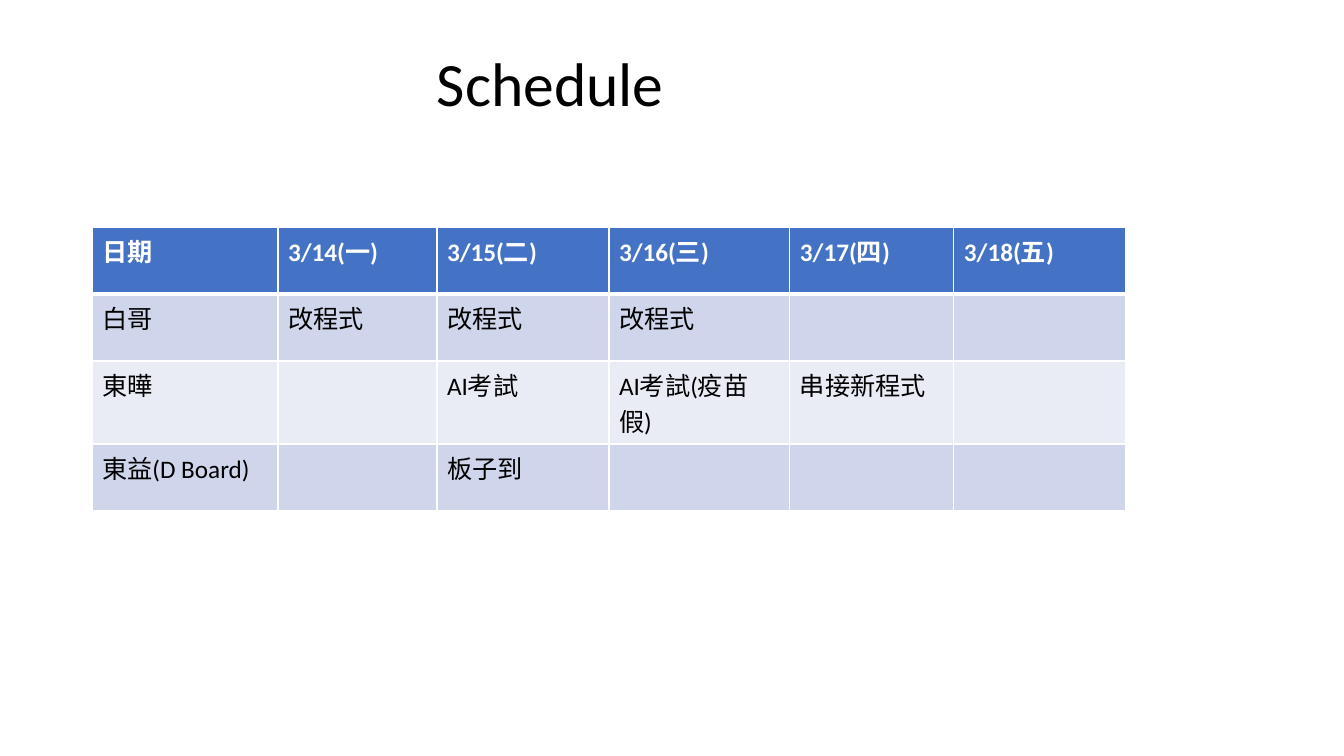
from dataclasses import dataclass

import pptx
import pptx.dml.color
import pptx.enum.text
import pptx.oxml
import pptx.oxml.ns
import pptx.table
import pptx.text.text
import pptx.util

RGBColor = pptx.dml.color.RGBColor
WHITE = RGBColor(0xFF, 0xFF, 0xFF)
BLACK = RGBColor(0x00, 0x00, 0x00)
HEADER_BLUE = RGBColor(0x44, 0x72, 0xC4)
DARK_BAND = RGBColor(0xCF, 0xD5, 0xEA)
LIGHT_BAND = RGBColor(0xE9, 0xEB, 0xF5)

FONT = "Calibri"
EMU_PER_PIXEL = 914400 / 100.8
COLUMN_WIDTHS = (186, 159, 172, 181, 164, 172)
ONE_LINE, TWO_LINES = 67, 83
THIN, THICK = 1, 3


@dataclass(frozen=True)
class ScheduleRow:
    entries: tuple[str, ...]
    fill: RGBColor
    height: int = ONE_LINE
    color: RGBColor = BLACK
    bold: bool = False
    top: int = THIN
    bottom: int = THIN


SCHEDULE = (
    ScheduleRow(
        ("日期", "3/14(一)", "3/15(二)", "3/16(三)", "3/17(四)", "3/18(五)"),
        HEADER_BLUE, color=WHITE, bold=True, bottom=THICK,
    ),
    ScheduleRow(("白哥", "改程式", "改程式", "改程式", "", ""), DARK_BAND, top=THICK),
    ScheduleRow(
        ("東曄", "", "AI考試", "AI考試(疫苗假)", "串接新程式", ""),
        LIGHT_BAND, height=TWO_LINES,
    ),
    ScheduleRow(("東益(D Board)", "", "板子到", "", "", ""), DARK_BAND),
)


def px(pixels: int) -> pptx.util.Emu:
    return pptx.util.Emu(round(pixels * EMU_PER_PIXEL))


def write_text(
    frame: pptx.text.text.TextFrame,
    text: str,
    *,
    size: int,
    color: RGBColor = BLACK,
    bold: bool = False,
    line_spacing: float | None = None,
) -> None:
    paragraph = frame.paragraphs[0]
    paragraph.line_spacing = line_spacing
    paragraph.font.size = pptx.util.Pt(size)
    if not text:
        return
    run = paragraph.add_run()
    run.text = text
    run.font.name = FONT
    run.font.size = pptx.util.Pt(size)
    run.font.bold = bold
    run.font.color.rgb = color


def add_border(cell: pptx.table._Cell, side: str, points: int) -> None:
    namespace = pptx.oxml.ns.nsdecls("a")
    border = pptx.oxml.parse_xml(
        f'<a:{side} {namespace} w="{pptx.util.Pt(points)}"><a:solidFill>'
        f'<a:srgbClr val="{WHITE}"/></a:solidFill></a:{side}>'
    )
    cell._tc.get_or_add_tcPr().append(border)


def draw_cell(cell: pptx.table._Cell, text: str, style: ScheduleRow) -> None:
    write_text(cell.text_frame, text, size=18, color=style.color, bold=style.bold)
    borders = {"lnL": THIN, "lnR": THIN, "lnT": style.top, "lnB": style.bottom}
    for side, points in borders.items():
        add_border(cell, side, points)
    cell.fill.solid()
    cell.fill.fore_color.rgb = style.fill


presentation = pptx.Presentation()
presentation.slide_width = px(1344)
presentation.slide_height = px(756)
slide = presentation.slides.add_slide(presentation.slide_layouts[6])

title = slide.shapes.add_textbox(px(427), px(38), px(467), px(97))
title.text_frame.word_wrap = True
title.text_frame.vertical_anchor = pptx.enum.text.MSO_ANCHOR.MIDDLE
write_text(title.text_frame, "Schedule", size=44, line_spacing=0.9)

schedule_table = slide.shapes.add_table(
    len(SCHEDULE), len(COLUMN_WIDTHS), px(92), px(227),
    px(sum(COLUMN_WIDTHS)), px(sum(row.height for row in SCHEDULE)),
).table
for column, width in zip(schedule_table.columns, COLUMN_WIDTHS):
    column.width = px(width)
for table_row, schedule_row in zip(schedule_table.rows, SCHEDULE):
    table_row.height = px(schedule_row.height)
    for cell, entry in zip(table_row.cells, schedule_row.entries):
        draw_cell(cell, entry, schedule_row)

presentation.save("out.pptx")
